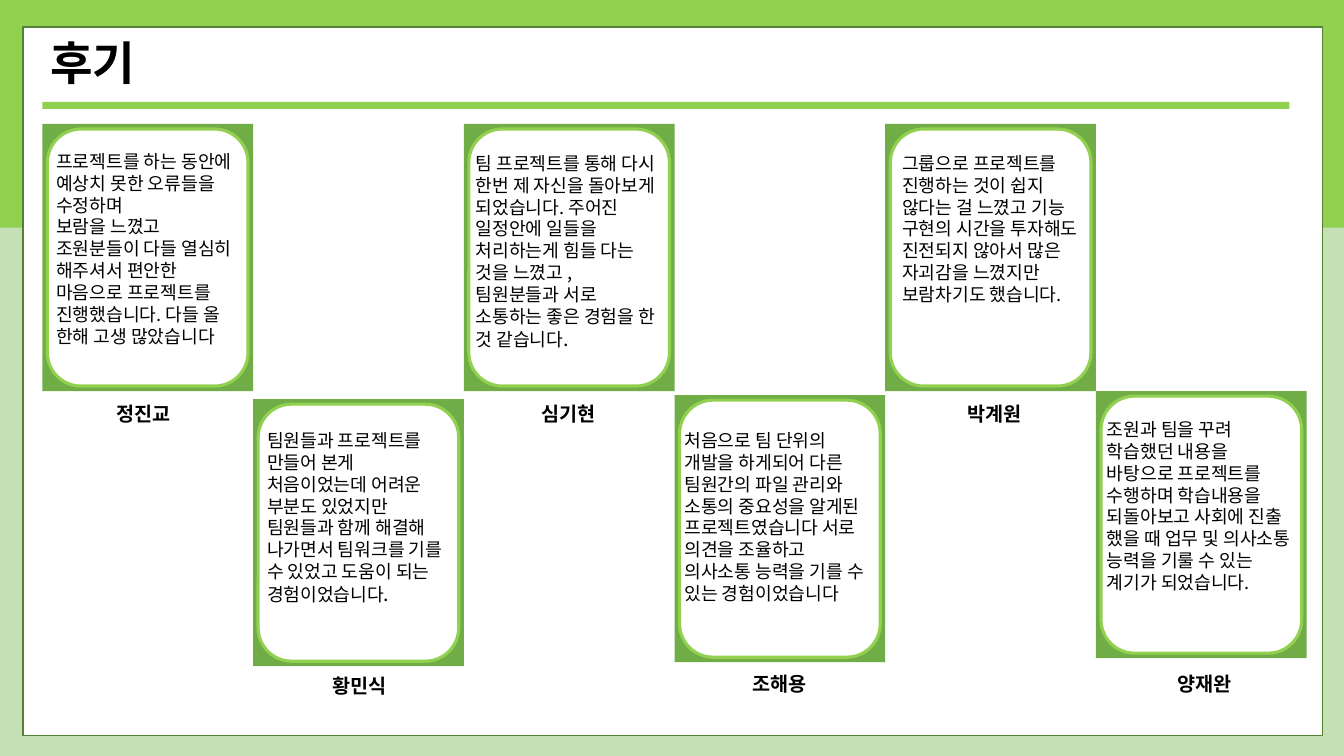
from dataclasses import dataclass

from lxml.etree import SubElement
from pptx import Presentation
from pptx.dml.color import RGBColor
from pptx.enum.shapes import MSO_SHAPE as Preset
from pptx.enum.text import MSO_ANCHOR as Anchor, MSO_AUTO_SIZE as AutoSize, PP_ALIGN as Align
from pptx.oxml.ns import qn
from pptx.shapes.base import BaseShape
from pptx.slide import Slide
from pptx.text.text import TextFrame
from pptx.util import Inches, Pt


@dataclass(frozen=True)
class Theme:
    font: str = "Noto Sans CJK KR"
    ink: str = "000000"
    paper: str = "FFFFFF"
    pale: str = "C5E0B4"
    lime: str = "92D050"
    leaf: str = "70AD47"
    moss: str = "548235"
    title_size: float = 33
    name_size: float = 14
    review_size: float = 13
    line_spacing: float = 1.0


@dataclass(frozen=True)
class Box:
    left: float
    top: float
    width: float
    height: float

    def lengths(self) -> tuple[Inches, ...]:
        return tuple(Inches(value) for value in (self.left, self.top, self.width, self.height))


@dataclass(frozen=True)
class Grid:
    left: float = 0.42
    column: float = 2.09
    row: float = 2.65
    upper: float = 1.23
    inset: float = 0.05

    def card(self, index: int, drop: float) -> Box:
        return Box(self.left + index * self.column, self.upper + drop * self.row, self.column, self.row)


@dataclass(frozen=True)
class Panel:
    box: Box
    fill: str
    line: str | None = None


@dataclass(frozen=True)
class Review:
    name: str
    paragraphs: tuple[str, ...]
    drop: float = 0
    text_shift: tuple[float, float] = (0.04, 0.23)
    name_shift: tuple[float, float] = (0, 2.7)
    large_stop: bool = False


THEME = Theme()
GRID = Grid()
WIDTH, HEIGHT = 13.33, 7.5

PANELS = (
    Panel(Box(0, 0.04, 13.36, 7.49), THEME.pale),
    Panel(Box(0, 0, 13.36, 2.26), THEME.lime),
    Panel(Box(0.23, 0.27, 12.89, 7.03), THEME.paper, THEME.moss),
    Panel(Box(0.42, 1.01, 12.37, 0.07), THEME.lime),
)

REVIEWS = (
    Review("정진교", (
        "프로젝트를 하는 동안에 예상치 못한 오류들을 수정하며 ",
        "보람을 느꼈고 조원분들이 다들 열심히 해주셔서 편안한 마음으로 프로젝트를 "
        "진행했습니다. 다들 올 한해 고생 많았습니다",
    ), text_shift=(0.04, 0.21), name_shift=(-0.05, 2.7)),
    Review("황민식", (
        "팀원들과 프로젝트를 만들어 본게 처음이었는데 어려운 부분도 있었지만 팀원들과 함께 "
        "해결해 나가면서 팀워크를 기를 수 있었고 도움이 되는 경험이었습니다.",
    ), drop=1.03, text_shift=(0.04, 0.25), name_shift=(0, 2.67), large_stop=True),
    Review("심기현", (
        "팀 프로젝트를 통해 다시 한번 제 자신을 돌아보게 되었습니다. 주어진 일정안에 일들을 "
        "처리하는게 힘들 다는 것을 느꼈고 , 팀원분들과 서로 소통하는 좋은 경험을 한 것 같습니다.",
    ), text_shift=(0.02, 0.23), name_shift=(-0.02, 2.7), large_stop=True),
    Review("조해용", (
        "처음으로 팀 단위의 개발을 하게되어 다른 팀원간의 파일 관리와 소통의 중요성을 알게된 "
        "프로젝트였습니다 서로 의견을 조율하고 의사소통 능력을 기를 수 있는 경험이었습니다",
    ), drop=1.015, text_shift=(0, 0.29), name_shift=(-0.01, 2.69)),
    Review("박계원", (
        "그룹으로 프로젝트를 진행하는 것이 쉽지 않다는 걸 느꼈고 기능 구현의 시간을 투자해도 "
        "진전되지 않아서 많은 자괴감을 느꼈지만 보람차기도 했습니다.",
    ), text_shift=(0.07, 0.23), name_shift=(0.03, 2.7)),
    Review("양재완", (
        "조원과 팀을 꾸려 학습했던 내용을 바탕으로 프로젝트를 수행하며 학습내용을 되돌아보고 "
        "사회에 진출 했을 때 업무 및 의사소통 능력을 기룰 수 있는 계기가 되었습니다.",
    ), drop=1, text_shift=(0.01, 0.22), name_shift=(0.02, 2.73)),
)


def place(shape: BaseShape, box: Box) -> None:
    shape.left, shape.top, shape.width, shape.height = box.lengths()


def add_panel(shapes, panel: Panel, preset: Preset = Preset.RECTANGLE, line_width: float = 1) -> None:
    shape = shapes.add_shape(preset, *panel.box.lengths())
    shape.shadow.inherit = False
    shape.fill.solid()
    shape.fill.fore_color.rgb = RGBColor.from_string(panel.fill)
    if panel.line:
        shape.line.color.rgb = RGBColor.from_string(panel.line)
        shape.line.width = Pt(line_width)
    else:
        shape.line.fill.background()


def format_text(frame: TextFrame, size: float, bold: bool = False, align: Align = Align.LEFT,
                anchor: Anchor = Anchor.TOP) -> None:
    frame.word_wrap = True
    frame.auto_size = AutoSize.NONE
    frame.vertical_anchor = anchor
    for paragraph in frame.paragraphs:
        paragraph.alignment = align
        paragraph.line_spacing = THEME.line_spacing
        for run in paragraph.runs:
            run.font.size = Pt(size)
            run.font.bold = bold
            run.font.name = THEME.font
            run.font.color.rgb = RGBColor.from_string(THEME.ink)
            run.font._element.set("kern", "0")
            SubElement(run.font._element, qn("a:ea")).set("typeface", THEME.font)


def add_title(slide: Slide, text: str) -> None:
    title = slide.shapes.title
    place(title, Box(0.4, 0.29, 7.57, 0.66))
    title.text_frame.text = text
    format_text(title.text_frame, THEME.title_size, bold=True)
    slide.shapes._spTree.append(title._element)


def add_card(slide: Slide, box: Box) -> None:
    group = slide.shapes.add_group_shape()
    add_panel(group.shapes, Panel(box, THEME.leaf))
    inset = GRID.inset
    inner = Box(box.left + inset, box.top + inset, box.width - 2 * inset, box.height - 2 * inset)
    add_panel(group.shapes, Panel(inner, THEME.paper, THEME.lime), Preset.ROUNDED_RECTANGLE, 2.25)


def add_review(slide: Slide, index: int, review: Review) -> None:
    card = GRID.card(index, review.drop)
    add_card(slide, card)

    shift_x, shift_y = review.text_shift
    body = slide.shapes.add_textbox(*Box(card.left + shift_x, card.top + shift_y, 2.02, 2.07).lengths())
    frame = body.text_frame
    frame.text = "\n".join(review.paragraphs)
    if review.large_stop:
        paragraph = frame.paragraphs[-1]
        paragraph.runs[0].text = paragraph.text.removesuffix(".")
        paragraph.add_run().text = "."
    format_text(frame, THEME.review_size)
    if review.large_stop:
        paragraph.runs[-1].font.size = Pt(THEME.name_size)

    shift_x, shift_y = review.name_shift
    label = slide.shapes.add_textbox(*Box(card.left + shift_x, card.top + shift_y, 2.11, 0.34).lengths())
    label.text_frame.text = review.name
    format_text(label.text_frame, THEME.name_size, True, Align.CENTER, Anchor.MIDDLE)


def main() -> None:
    presentation = Presentation()
    presentation.slide_width, presentation.slide_height = Inches(WIDTH), Inches(HEIGHT)
    slide = presentation.slides.add_slide(presentation.slide_layouts[5])
    for panel in PANELS:
        add_panel(slide.shapes, panel)
    add_title(slide, "후기")
    for index, review in enumerate(REVIEWS):
        add_review(slide, index, review)
    presentation.save("out.pptx")


if __name__ == "__main__":
    main()
